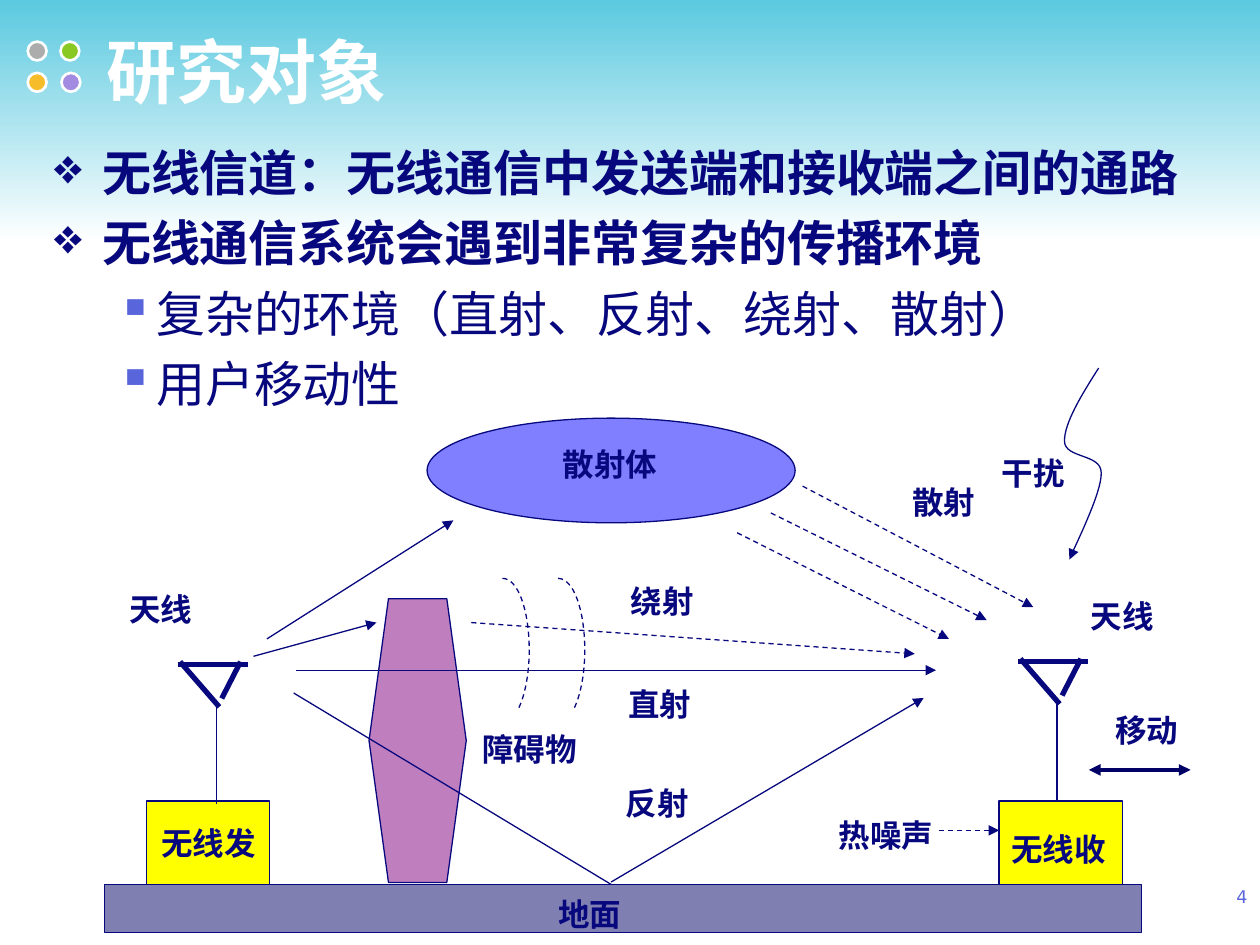
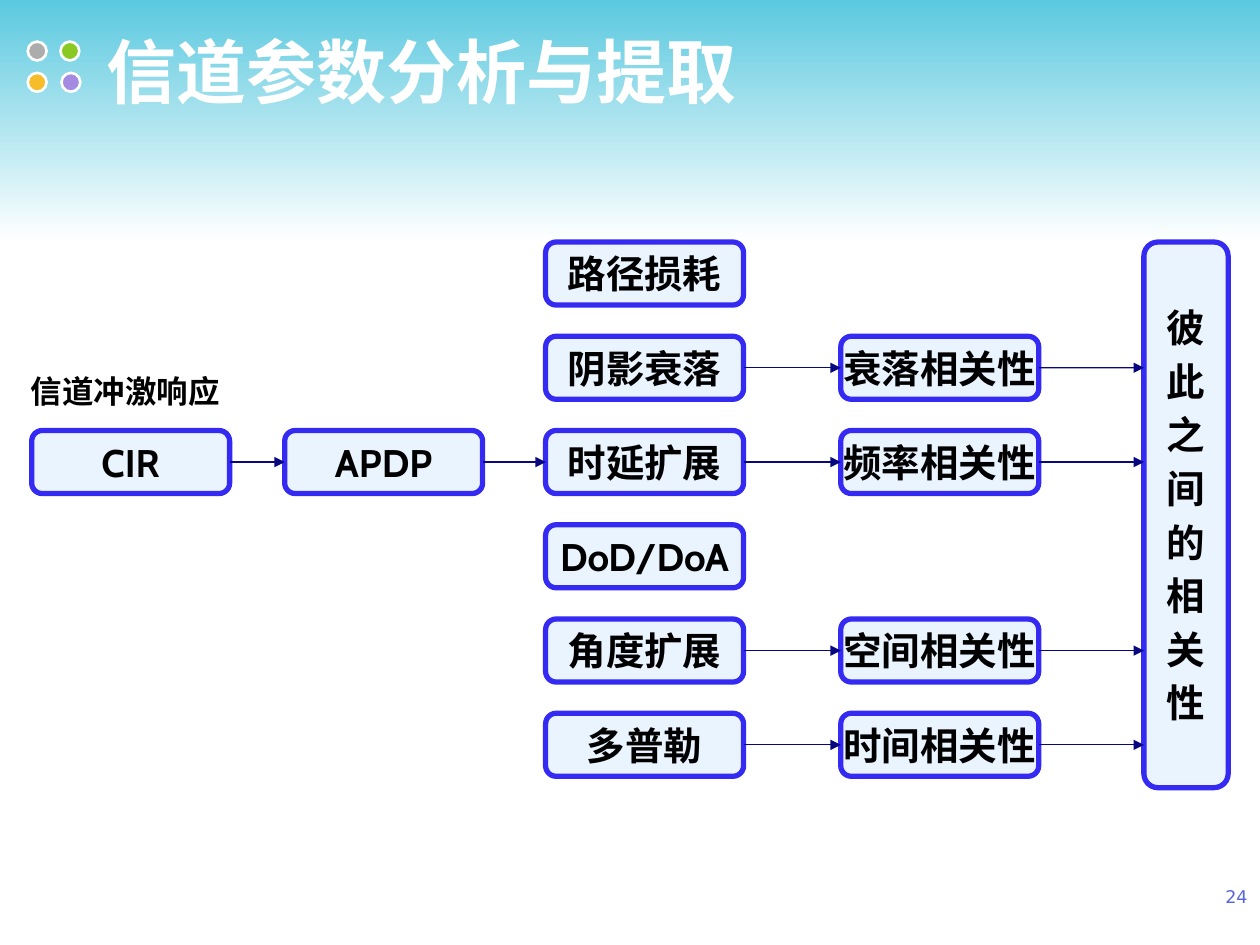
from dataclasses import dataclass

from lxml import etree
from pptx import Presentation
from pptx import oxml
from pptx import util as u
from pptx.dml import color
from pptx.enum import dml, shapes, text
from pptx.oxml import ns


@dataclass(frozen=True)
class Theme:
    sky: str = "5BC9DF"
    white: str = "FFFFFF"
    navy: str = "08087E"
    deep: str = "000066"
    violet: str = "5965DB"
    purple: str = "800080"
    blue: str = "0000FF"
    yellow: str = "FFFF00"
    black: str = "000000"
    box_fill: str = "E9F4FF"
    box_line: str = "342AF2"
    heading_font: str = "DejaVu Sans"
    label_font: str = "Arial"
    box_font: str = "Cabin"
    title: int = 40
    body: int = 28
    box: int = 22
    label: int = 18
    number: int = 10
    thin: float = 0.75
    thick: float = 3


T = Theme()
KIND = shapes.MSO_SHAPE
ALIGN = text.PP_ALIGN
ANCHOR = text.MSO_ANCHOR

DOTS = [(0.56, 0.84, "ACACAC"), (1.22, 0.84, "8AC923"),
        (0.56, 1.47, "F7BC29"), (1.24, 1.47, "A28BE1")]

SUBJECT = "研究对象"
POINTS = [
    (0, "无线信道：无线通信中发送端和接收端之间的通路"),
    (0, "无线通信系统会遇到非常复杂的传播环境"),
    (1, "复杂的环境（直射、反射、绕射、散射）"),
    (1, "用户移动性"),
]
LEVELS = [
    dict(mark="❖", mark_color=T.navy, left=0.97, font=T.heading_font, bold=True),
    dict(mark="▪", mark_color=T.violet, left=2.06, hang=0.79, font=T.label_font),
]
SCENERY = [
    (KIND.FLOWCHART_PREPARATION, (7.44, 12.07, 1.96, 5.72), T.purple, 50),
    (KIND.RECTANGLE, (2.11, 17.83, 20.9, 0.97), T.deep, 50),
    (KIND.RECTANGLE, (2.95, 16.15, 2.49, 1.68), T.yellow, 100),
    (KIND.RECTANGLE, (20.14, 16.15, 2.49, 1.68), T.yellow, 100),
    (KIND.OVAL, (8.61, 8.43, 7.42, 2.11), T.blue, 50),
]
ANTENNAS = [(3.58, 13.34), (20.52, 13.28)]
ANTENNA_PARTS = [
    ((0, 0.05), (1.42, 0.05), T.thick),
    ((0.05, 0), (0.84, 0.91), T.thick),
    ((1.27, 0), (0.89, 0.74), T.thick),
    ((0.79, 0.86), (0.79, 2.87), T.thin),
]
SOLID_RAYS = [
    ((5.97, 13.51), (18.87, 13.51)),
    ((12.32, 17.78), (18.62, 14.07)),
    ((5.38, 12.88), (9.14, 10.49)),
    ((5.11, 13.23), (7.59, 12.55)),
]
DASHED_RAYS = [
    ((16.18, 9.8), (20.83, 12.24)),
    ((15.54, 10.34), (19.89, 12.5)),
    ((14.86, 10.74), (19.13, 12.88)),
    ((9.5, 12.55), (18.44, 13.18)),
    ((18.92, 16.74), (20.14, 16.74)),
]
INCIDENT_RAY = ((5.92, 13.97), (12.32, 17.83))
MOVEMENT = ((21.95, 15.52), (24, 15.52))
WAVEFRONTS = [(10.13, 11.66), (11.25, 11.66)]
WAVEFRONT = [(0, 0), (0.31, 0), (0.54, 0.63), (0.54, 1.45),
             (0.54, 1.9), (0.46, 2.34), (0.33, 2.61)]
INTERFERENCE = [(22.15, 7.42), (21.79, 7.98), (21.46, 8.53), (21.46, 8.89),
                (21.46, 9.25), (22.2, 9.14), (22.2, 9.53),
                (22.22, 9.93), (21.67, 11), (21.56, 11.28)]
LABELS = [
    ("天线", 2.36, 11.76), ("天线", 21.74, 11.91),
    ("无线发", 3, 16.48), ("无线收", 20.14, 16.59),
    ("直射", 12.42, 13.67), ("反射", 12.37, 15.67),
    ("散射", 18.14, 9.6), ("绕射", 12.47, 11.61),
    ("地面", 11, 17.91), ("散射体", 11.1, 8.84),
    ("移动", 22.23, 14.2), ("障碍物", 9.47, 14.58),
    ("干扰", 19.94, 9.02), ("热噪声", 16.66, 16.31),
]

ANALYSIS = "信道参数分析与提取"
COLUMNS = [0.64, 5.74, 11, 16.95]
FIRST_ROW, ROW_STEP = 4.88, 1.9
BOX_SIZE = (3.99, 1.27)
STEPS = [
    (0, 2, "CIR"), (1, 2, "APDP"),
    (2, 0, "路径损耗"), (2, 1, "阴影衰落"), (2, 2, "时延扩展"),
    (2, 3, "DoD/DoA"), (2, 4, "角度扩展"), (2, 5, "多普勒"),
    (3, 1, "衰落相关性"), (3, 2, "频率相关性"),
    (3, 4, "空间相关性"), (3, 5, "时间相关性"),
]
FLOWS = [("CIR", "APDP"), ("APDP", "时延扩展"),
         ("阴影衰落", "衰落相关性"), ("时延扩展", "频率相关性"),
         ("角度扩展", "空间相关性"), ("多普勒", "时间相关性")]
MUTUAL = "彼此之间的相关性"
MUTUAL_PLACE = (23.06, 4.88, 1.7, 11)
CIR_NOTE = ("信道冲激响应", 0.33, 7.37)


def rgb(code):
    return color.RGBColor.from_string(code)


def cm(values):
    return [u.Cm(value) for value in values]


def element(parent, tag, **attributes):
    return etree.SubElement(parent, ns.qn(tag), **attributes)


def write(frame, words, *, size, font, ink, bold=False, align=ALIGN.LEFT,
          anchor=ANCHOR.TOP, wrap=True, before=0, after=0, shadow=False,
          mark=None, mark_color=None, left=0, hang=0.97):
    fresh = not frame.text
    paragraph = frame.paragraphs[0] if fresh else frame.add_paragraph()
    frame.word_wrap, frame.vertical_anchor = wrap, anchor
    if mark:
        props = paragraph._p.get_or_add_pPr()
        props.set("marL", str(u.Cm(left)))
        props.set("indent", str(-u.Cm(hang)))
        element(element(props, "a:buClr"), "a:srgbClr", val=mark_color)
        element(props, "a:buChar", char=mark)
    paragraph.alignment = align
    paragraph.space_before = u.Pt(0 if fresh else before)
    paragraph.space_after = u.Pt(after)
    run = paragraph.add_run()
    run.text = words
    run.font.size, run.font.bold, run.font.name = u.Pt(size), bold, font
    run.font.color.rgb = rgb(ink)
    props = run._r.get_or_add_rPr()
    element(props, "a:ea", typeface=font)
    if shadow:
        effects = oxml.parse_xml(
            f'<a:effectLst {ns.nsdecls("a")}><a:outerShdw dist="35921" dir="2700000">'
            f'<a:srgbClr val="{T.black}"/></a:outerShdw></a:effectLst>')
        props.find(ns.qn("a:latin")).addprevious(effects)


def text_box(slide, place):
    return slide.shapes.add_textbox(*cm(place)).text_frame


def label(slide, words, x, y, **style):
    place = (x, y, 0.51 + 0.64 * len(words), 1.02)
    look = dict(size=T.label, font=T.label_font, ink=T.navy, bold=True,
                anchor=ANCHOR.BOTTOM, wrap=False)
    write(text_box(slide, place), words, **{**look, **style})


def solid(slide, kind, place, fill, line=T.navy, width=T.thin, opacity=100):
    part = slide.shapes.add_shape(kind, *cm(place))
    part.shadow.inherit = False
    part.fill.solid()
    part.fill.fore_color.rgb = rgb(fill)
    if opacity < 100:
        tint = part._element.spPr.find(f'{ns.qn("a:solidFill")}/{ns.qn("a:srgbClr")}')
        element(tint, "a:alpha", val=str(opacity * 1000))
    part.line.color.rgb, part.line.width = rgb(line), u.Pt(width)
    return part


def stroke(line, ink=T.navy, width=T.thin, dashed=False, head=False, tail=False):
    line.color.rgb, line.width = rgb(ink), u.Pt(width)
    if dashed:
        line.dash_style = dml.MSO_LINE.DASH
    for tag, wanted in (("a:headEnd", head), ("a:tailEnd", tail)):
        if wanted:
            element(line._get_or_add_ln(), tag, type="triangle")


def straight(slide, start, end, **style):
    link = slide.shapes.add_connector(shapes.MSO_CONNECTOR.STRAIGHT, *cm(start + end))
    stroke(link.line, **style)
    element(link._element.spPr, "a:effectLst")
    return link


def bezier(knots, steps=16):
    points = [knots[0]]
    for first in range(0, len(knots) - 1, 3):
        a, b, c, d = knots[first:first + 4]
        for step in range(1, steps + 1):
            t = step / steps
            s = 1 - t
            points.append(tuple(
                s ** 3 * a[i] + 3 * s * s * t * b[i] + 3 * s * t * t * c[i] + t ** 3 * d[i]
                for i in (0, 1)))
    return points


def curve(slide, knots, **style):
    start, *rest = [cm(point) for point in bezier(knots)]
    builder = slide.shapes.build_freeform(*start)
    builder.add_line_segments(rest, close=False)
    wave = builder.convert_to_shape()
    wave.shadow.inherit = False
    wave.fill.background()
    stroke(wave.line, **style)


def new_slide(deck, title, number):
    slide = deck.slides.add_slide(deck.slide_layouts[6])
    band = solid(slide, KIND.RECTANGLE, (0, 0, 25.4, 4.88), T.sky)
    band.line.fill.background()
    band.fill.gradient()
    band.fill.gradient_angle = 270
    for stop, shade, position in zip(band.fill.gradient_stops, (T.sky, T.white), (0, 1)):
        stop.color.rgb, stop.position = rgb(shade), position
    for x, y, fill in DOTS:
        solid(slide, KIND.OVAL, (x, y, 0.38, 0.38), fill, T.white, 1.5)
    write(text_box(slide, (1.9, 0.64, 22.66, 1.57)), title, size=T.title,
          font=T.heading_font, ink=T.white, bold=True, anchor=ANCHOR.MIDDLE, shadow=True)
    write(text_box(slide, (19.48, 17.73, 5.92, 0.69)), str(number), size=T.number,
          font=T.heading_font, ink=T.violet, align=ALIGN.RIGHT)
    return slide


def subject_slide(deck):
    slide = new_slide(deck, SUBJECT, 4)
    points = text_box(slide, (0.84, 2.74, 23.85, 14.6))
    for level, words in POINTS:
        write(points, words, size=T.body, ink=T.navy, before=6.7, **LEVELS[level])
    for kind, place, fill, opacity in SCENERY:
        solid(slide, kind, place, fill, opacity=opacity)
    for x, y in ANTENNAS:
        for (x1, y1), (x2, y2), width in ANTENNA_PARTS:
            straight(slide, (x + x1, y + y1), (x + x2, y + y2), width=width)
    for rays, dashed in ((SOLID_RAYS, False), (DASHED_RAYS, True)):
        for start, end in rays:
            straight(slide, start, end, dashed=dashed, tail=True)
    straight(slide, *INCIDENT_RAY)
    straight(slide, *MOVEMENT, ink=T.deep, width=2.25, head=True, tail=True)
    for x, y in WAVEFRONTS:
        curve(slide, [(x + dx, y + dy) for dx, dy in WAVEFRONT], dashed=True)
    curve(slide, INTERFERENCE, tail=True)
    for words, x, y in LABELS:
        label(slide, words, x, y)


def step_box(slide, place, lines):
    box = solid(slide, KIND.ROUNDED_RECTANGLE, place, T.box_fill, T.box_line, T.thick)
    for words in lines:
        write(box.text_frame, words, size=T.box, font=T.box_font, ink=T.black, bold=True,
              align=ALIGN.CENTER, anchor=ANCHOR.MIDDLE, wrap=False, before=2.1, after=2.1)
    return box


def analysis_slide(deck):
    slide = new_slide(deck, ANALYSIS, 24)
    boxes = {}
    for column, row, words in STEPS:
        place = (COLUMNS[column], FIRST_ROW + ROW_STEP * row, *BOX_SIZE)
        boxes[words] = step_box(slide, place, [words])
    step_box(slide, MUTUAL_PLACE, MUTUAL)
    for source, target in FLOWS:
        flow = straight(slide, (0, 0), (0, 0), tail=True)
        flow.begin_connect(boxes[source], 3)
        flow.end_connect(boxes[target], 1)
    for column, row, words in STEPS:
        if column == 3:
            middle = FIRST_ROW + ROW_STEP * row + BOX_SIZE[1] / 2
            flow = straight(slide, (COLUMNS[3] + BOX_SIZE[0], middle),
                            (MUTUAL_PLACE[0], middle), tail=True)
            flow.begin_connect(boxes[words], 3)
    label(slide, *CIR_NOTE, ink=T.black, align=ALIGN.RIGHT, anchor=ANCHOR.TOP)


def main():
    deck = Presentation()
    deck.slide_width, deck.slide_height = cm((25.4, 19.05))
    subject_slide(deck)
    analysis_slide(deck)
    deck.save("out.pptx")


if __name__ == "__main__":
    main()
